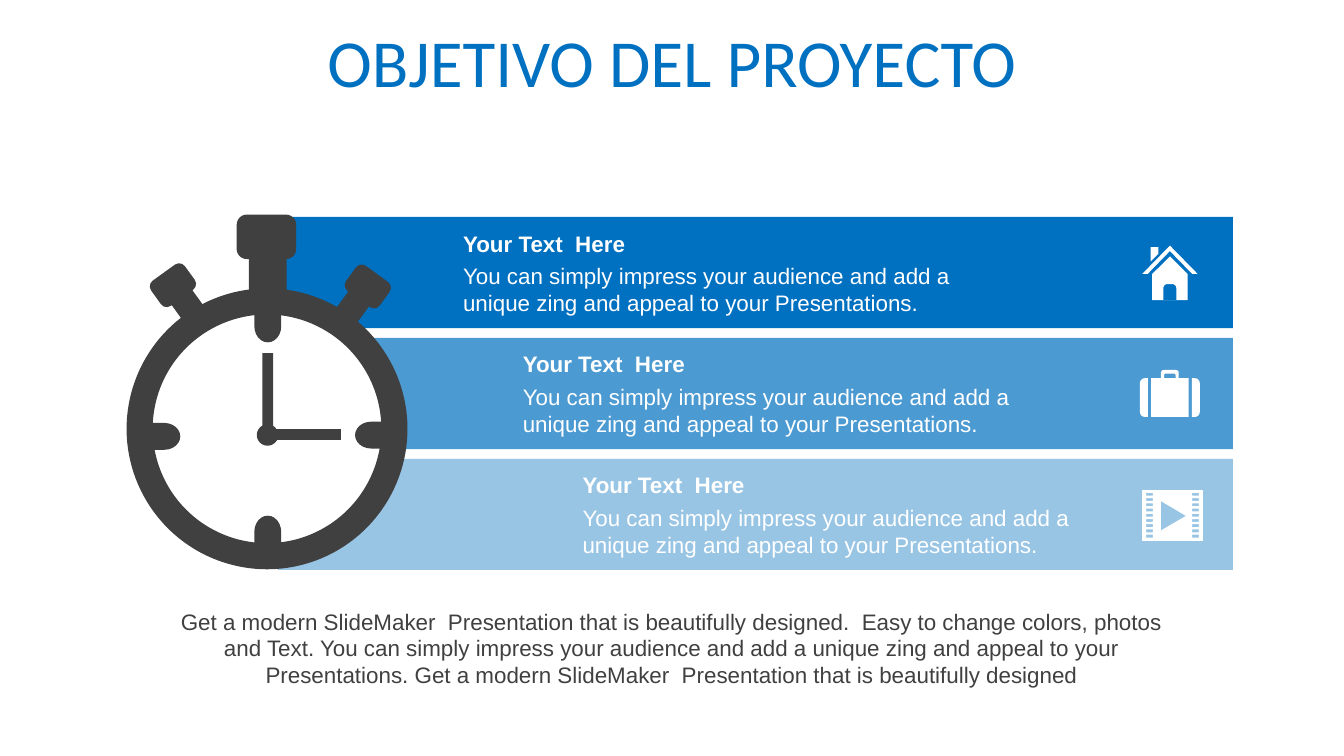
import math

from lxml import etree
from pptx import Presentation
from pptx import util as u
from pptx.dml import color
from pptx.enum import shapes, text
from pptx.oxml import ns

BLUE, DARK, WHITE = "0070C0", "404040", "FFFFFF"
KIND = shapes.MSO_SHAPE


def hex_color(value):
    """Return the colour for a hex string."""
    return color.RGBColor.from_string(value)


def paint(shape, fill, opacity=100):
    """Give a shape a flat fill with no line or shadow."""
    shape.shadow.inherit = False
    shape.line.fill.background()
    shape.fill.solid()
    shape.fill.fore_color.rgb = hex_color(fill)
    if opacity < 100:
        fill_color = shape.element.find(".//" + ns.qn("a:srgbClr"))
        alpha = etree.SubElement(fill_color, ns.qn("a:alpha"))
        alpha.set("val", str(opacity * 1000))


def arc(center_x, center_y, radius, start, end, steps=4):
    """Return points along an arc, with angles in degrees."""
    angles = [math.radians(start + (end - start) * step / steps) for step in range(steps + 1)]
    return [(center_x + radius * math.cos(a), center_y + radius * math.sin(a)) for a in angles]


def rounded(left, top, right, bottom, corners=(0, 0, 0, 0)):
    """Return a rectangle outline with radii clockwise from the top left."""
    signs = ((left, 1, top, 1), (right, -1, top, 1), (right, -1, bottom, -1), (left, 1, bottom, -1))
    points = []
    for index, (radius, (x, x_sign, y, y_sign)) in enumerate(zip(corners, signs)):
        start = 180 + 90 * index
        if radius:
            points += arc(x + x_sign * radius, y + y_sign * radius, radius, start, start + 90)
        else:
            points.append((x, y))
    return points


def add_outline(container, contours, fill, left=0, top=0, opacity=100):
    """Draw contours as one freeform offset by a corner."""
    placed = [[(u.Pt(left + x), u.Pt(top + y)) for x, y in contour] for contour in contours]
    builder = container.build_freeform(*placed[0][0])
    builder.add_line_segments(placed[0][1:], close=True)
    for contour in placed[1:]:
        builder.move_to(*contour[0])
        builder.add_line_segments(contour[1:], close=True)
    paint(builder.convert_to_shape(), fill, opacity)


def write(frame, content, size, font, fill, bold=False, align=text.PP_ALIGN.LEFT):
    """Write one formatted run into a text frame."""
    frame.word_wrap = True
    paragraph = frame.paragraphs[0]
    paragraph.alignment = align
    run = paragraph.add_run()
    run.text = content
    run.font.size = u.Pt(size)
    run.font.name = font
    run.font.bold = bold
    run.font.color.rgb = hex_color(fill)


def add_text(container, box, content, fill, **style):
    """Add a wrapped text box in 12-point Arial."""
    shape = container.add_textbox(*map(u.Pt, box))
    write(shape.text_frame, content, 12, "Arial", fill, **style)


def add_title(slide, box, content):
    """Place and format the slide title."""
    title = slide.shapes.title
    title.left, title.top, title.width, title.height = map(u.Pt, box)
    frame = title.text_frame
    frame.vertical_anchor = text.MSO_ANCHOR.MIDDLE
    write(frame, content, 36, "Calibri", BLUE, align=text.PP_ALIGN.CENTER)
    frame.paragraphs[0].space_before = u.Pt(7.2)


def add_band(slide, box, dial, opacity):
    """Draw a band whose left edge follows the dial."""
    left, top, width, height = box
    center_x, center_y, radius = dial
    limit = math.sin(math.radians(85))
    angles = [math.degrees(math.asin(max(-limit, min(limit, (y - center_y) / radius))))
              for y in (top + height, top)]
    edge = arc(center_x, center_y, radius, *angles, steps=16)
    right, bottom = left + width, top + height
    contour = [(edge[-1][0], top), (right, top), (right, bottom), (edge[0][0], bottom)] + edge
    add_outline(slide.shapes, [contour], BLUE, opacity=opacity)


def add_caption(slide, box):
    """Add a grouped heading and description."""
    left, top, width, height = box
    group = slide.shapes.add_group_shape().shapes
    add_text(group, (left, top + 17.3, width, height - 17.3),
             "You can simply impress your audience and add a unique zing and appeal "
             "to your Presentations.", WHITE)
    add_text(group, (left, top, width, 21.6), "Your Text  Here", WHITE, bold=True)


def add_stopwatch(slide, box):
    """Draw the stopwatch case, buttons, marks and hands."""
    left, top, width, height = box
    group = slide.shapes.add_group_shape().shapes
    arm, button, mark, hand = (13.7, 10.8), (22.3, 16.6), (17.3, 14.4), (5.8, 42.5)
    parts = [
        (KIND.DONUT, 0, height - width, (width, width), 0, 0.093),
        (KIND.RECTANGLE, 25.9, 43.2, arm, 324.3, None),
        (KIND.ROUNDED_RECTANGLE, 13.7, 29.5, button, 324.3, 0.227),
        (KIND.RECTANGLE, 114.5, 43.9, arm, 36, None),
        (KIND.ROUNDED_RECTANGLE, 118.1, 30.2, button, 36, 0.227),
        (KIND.RECTANGLE, 65.5, 23, (20.2, 23.8), 0, None),
        (KIND.ROUNDED_RECTANGLE, 59, 0, (31.9, 23.8), 0, 0.227),
        (KIND.FLOWCHART_DELAY, 11.5, 111.6, mark, 0, None),
        (KIND.FLOWCHART_DELAY, 67, 52.6, mark, 90, None),
        (KIND.FLOWCHART_DELAY, 122.4, 110.9, mark, 180, None),
        (KIND.FLOWCHART_DELAY, 67, 162.7, mark, 270, None),
        (KIND.RECTANGLE, 72.7, 74.2, hand, 0, None),
        (KIND.RECTANGLE, 90.7, 96.5, hand, 90, None),
        (KIND.OVAL, 69.8, 112.3, (11.5, 11.5), 0, None),
    ]
    for kind, x, y, size, rotation, adjustment in parts:
        shape = group.add_shape(kind, *map(u.Pt, (left + x, top + y, *size)))
        shape.rotation = rotation
        if adjustment is not None:
            shape.adjustments[0] = adjustment
        paint(shape, DARK)


def add_house(slide, box):
    """Draw the house icon."""
    left, top, width, height = box
    middle = width / 2
    walls = [(middle, 5.8), (24.3, 15.3), (24.3, height), (5.2, height), (5.2, 15.3)]
    door = rounded(11.2, 20.6, 18.2, height, (2.2, 2.2, 0, 0))
    chimney = [(4.4, 0.8), (8.6, 0.8), (8.6, 4.4), (4.4, 8.6)]
    roof = [(middle, 0), (width, 15.1), (width - 2.9, 15.1), (middle, 2.9), (2.9, 15.1), (0, 15.1)]
    add_outline(slide.shapes, [walls, door, chimney, roof], WHITE, left, top)


def add_suitcase(slide, box):
    """Draw the suitcase icon."""
    left, top, width, height = box
    contours = [
        rounded(0, 4.4, 4.3, height, (2.7, 0, 0, 2.7)),
        rounded(6, 4.4, width - 6, height),
        rounded(width - 4.3, 4.4, width, height, (0, 2.7, 2.7, 0)),
        rounded(11.3, 0, width - 11.3, 4.4, (1.5, 1.5, 0, 0)),
        rounded(13, 1.9, width - 13, 4.4, (0.8, 0.8, 0, 0)),
    ]
    add_outline(slide.shapes, contours, WHITE, left, top)


def add_film(slide, box):
    """Draw the film icon."""
    left, top, width, height = box
    contours = [rounded(0, 0, width, height), [(10.1, 5.9), (10.1, 21.6), (23.5, 13.8)]]
    for row in range(9):
        y = 1.5 + 2.8 * row
        contours += [rounded(x, y, x + 3.6, y + 1.5) for x in (2.2, width - 5.8)]
    add_outline(slide.shapes, contours, WHITE, left, top)


def main():
    """Build and save the slide."""
    presentation = Presentation()
    presentation.slide_width, presentation.slide_height = u.Pt(720), u.Pt(405)
    slide = presentation.slides.add_slide(presentation.slide_layouts[5])
    add_title(slide, (0, 10, 720, 45.4), "OBJETIVO DEL PROYECTO")
    tops = [116.25 + 64.8 * index for index in range(3)]
    for top, opacity in zip(tops, (100, 70, 40)):
        add_band(slide, (143, top, 517.5, 59.5), (143, 230, 67.5), opacity)
    add_stopwatch(slide, (67.8, 115, 150.5, 190))
    add_house(slide, (612, 131.6, 29.5, 29.2))
    add_suitcase(slide, (610.7, 198.2, 32.1, 25.2))
    add_film(slide, (611.9, 262.6, 32.6, 27.2))
    for index, top in enumerate(tops):
        add_caption(slide, (241 + 32 * index, top + 3.25, 293, 53.3))
    add_text(slide.shapes, (83.5, 322, 553, 51),
             "Get a modern SlideMaker  Presentation that is beautifully designed.  Easy to change "
             "colors, photos and Text. You can simply impress your audience and add a unique zing "
             "and appeal to your Presentations. Get a modern SlideMaker  Presentation that is "
             "beautifully designed", DARK, align=text.PP_ALIGN.CENTER)
    presentation.save("out.pptx")


if __name__ == "__main__":
    main()
